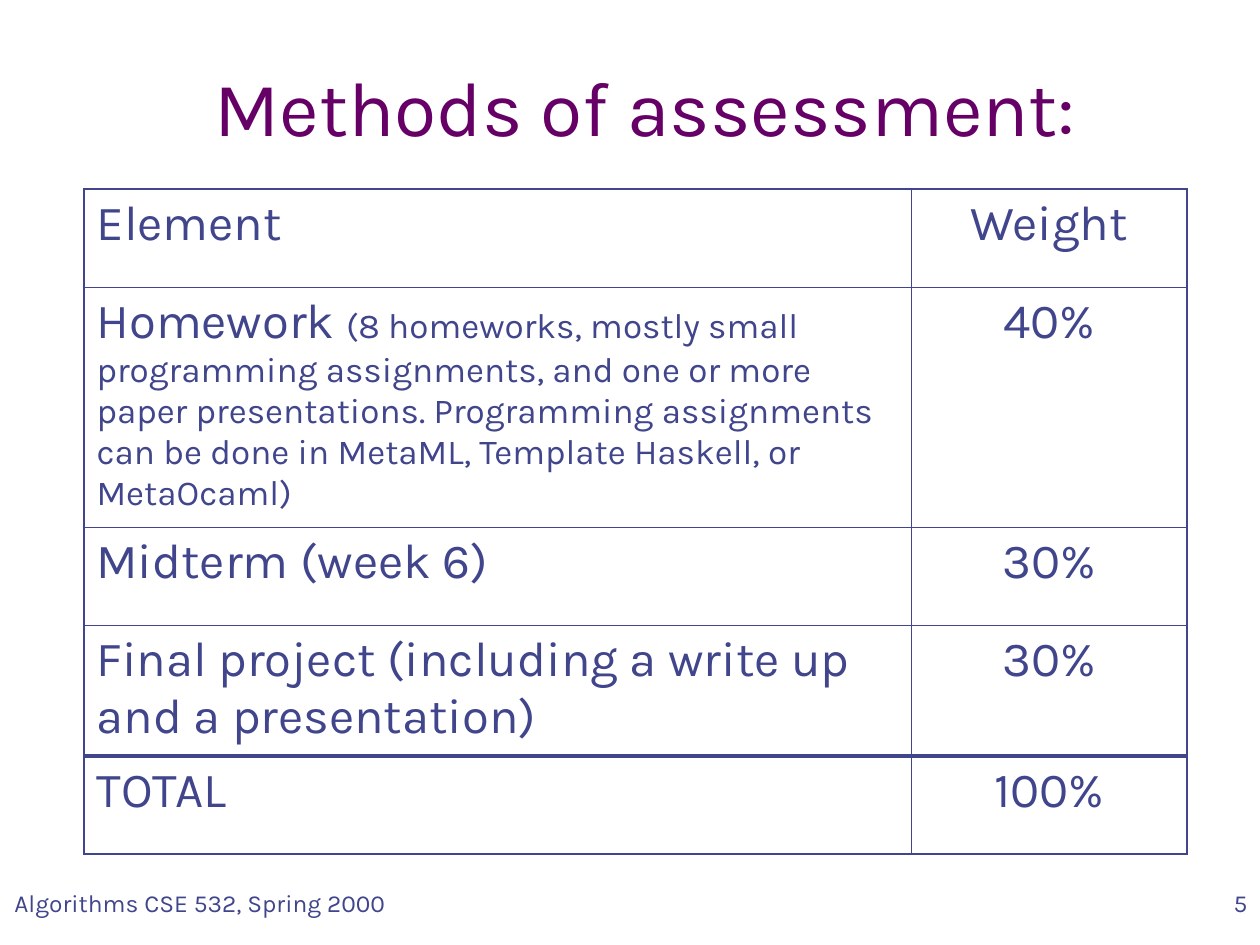
import pptx
import pptx.util
import pptx.dml.color
import pptx.enum.text
import pptx.oxml
import pptx.oxml.ns

INK, PLUM = "40458C", "660066"
THIN, EDGE, BOLD = 0.45, 1.08, 2.21
ALIGN = pptx.enum.text.PP_ALIGN
ANCHOR = pptx.enum.text.MSO_ANCHOR

TEXTS = [
    ("Methods of assessment:", (84, 53, 1124, 105), 44, PLUM, ALIGN.CENTER, ANCHOR.BOTTOM),
    ("Algorithms CSE 532, Spring 2000", (0, 882, 400, 63), 14, INK, ALIGN.CENTER, ANCHOR.TOP),
    ("5", (998, 882, 262, 63), 14, INK, ALIGN.RIGHT, ANCHOR.TOP),
]
NOTE = (
    "(8 homeworks, mostly small programming assignments, and one or more "
    "paper presentations. Programming assignments can be done in MetaML, "
    "Template Haskell, or MetaOcaml)"
)
ROWS = [
    (98, [("Element", 28)], "Weight"),
    (240, [("Homework ", 28), (NOTE, 20)], "40%"),
    (98, [("Midterm (week 6)", 28)], "30%"),
    (131, [("Final project (including a write up and a presentation)", 28)], "30%"),
    (98, [("TOTAL", 28)], "100%"),
]
COLS = (827, 276)
LEFT, TOP = 84, 189
RULES = [EDGE, THIN, THIN, THIN, BOLD, EDGE]
SIDES = [EDGE, THIN, EDGE]


def px(num):
    """Turn pixels into EMU."""
    return round(num * 914400 / 126)


def tint(code):
    """Make a colour from a hex string."""
    return pptx.dml.color.RGBColor.from_string(code)


def write(frame, runs, code, align):
    """Fill the first paragraph of a frame run by run."""
    para = frame.paragraphs[0]
    para.alignment = align
    for text, size in runs:
        run = para.add_run()
        run.text = text
        run.font.name = "Karla"
        run.font.size = pptx.util.Pt(size)
        run.font.color.rgb = tint(code)


def border(cell, tag, width):
    """Add one border line to a cell."""
    space = pptx.oxml.ns.nsdecls("a")
    line = pptx.oxml.parse_xml(
        f'<a:{tag} {space} w="{round(width * 12700)}"><a:solidFill>'
        f'<a:srgbClr val="{INK}"/></a:solidFill></a:{tag}>'
    )
    cell._tc.get_or_add_tcPr().append(line)


def add_text(slide, text, area, size, code, align, anchor):
    """Add a one-line text box."""
    frame = slide.shapes.add_textbox(*map(px, area)).text_frame
    frame.word_wrap = True
    frame.vertical_anchor = anchor
    write(frame, [(text, size)], code, align)


def add_grid(slide):
    """Add the table of weights."""
    high = sum(row[0] for row in ROWS)
    area = map(px, (LEFT, TOP, sum(COLS), high))
    table = slide.shapes.add_table(len(ROWS), len(COLS), *area).table
    table.first_row = table.horz_banding = False
    for col, wide in zip(table.columns, COLS):
        col.width = px(wide)
    for r, (tall, runs, weight) in enumerate(ROWS):
        table.rows[r].height = px(tall)
        parts = [(runs, ALIGN.LEFT), ([(weight, 28)], ALIGN.CENTER)]
        for c, (words, align) in enumerate(parts):
            cell = table.cell(r, c)
            write(cell.text_frame, words, INK, align)
            border(cell, "lnL", SIDES[c])
            border(cell, "lnR", SIDES[c + 1])
            border(cell, "lnT", RULES[r])
            border(cell, "lnB", RULES[r + 1])
            cell.fill.background()


def main():
    """Build the slide and save it."""
    deck = pptx.Presentation()
    deck.slide_width, deck.slide_height = px(1260), px(945)
    slide = deck.slides.add_slide(deck.slide_layouts[6])
    for item in TEXTS:
        add_text(slide, *item)
    add_grid(slide)
    deck.save("out.pptx")


if __name__ == "__main__":
    main()
